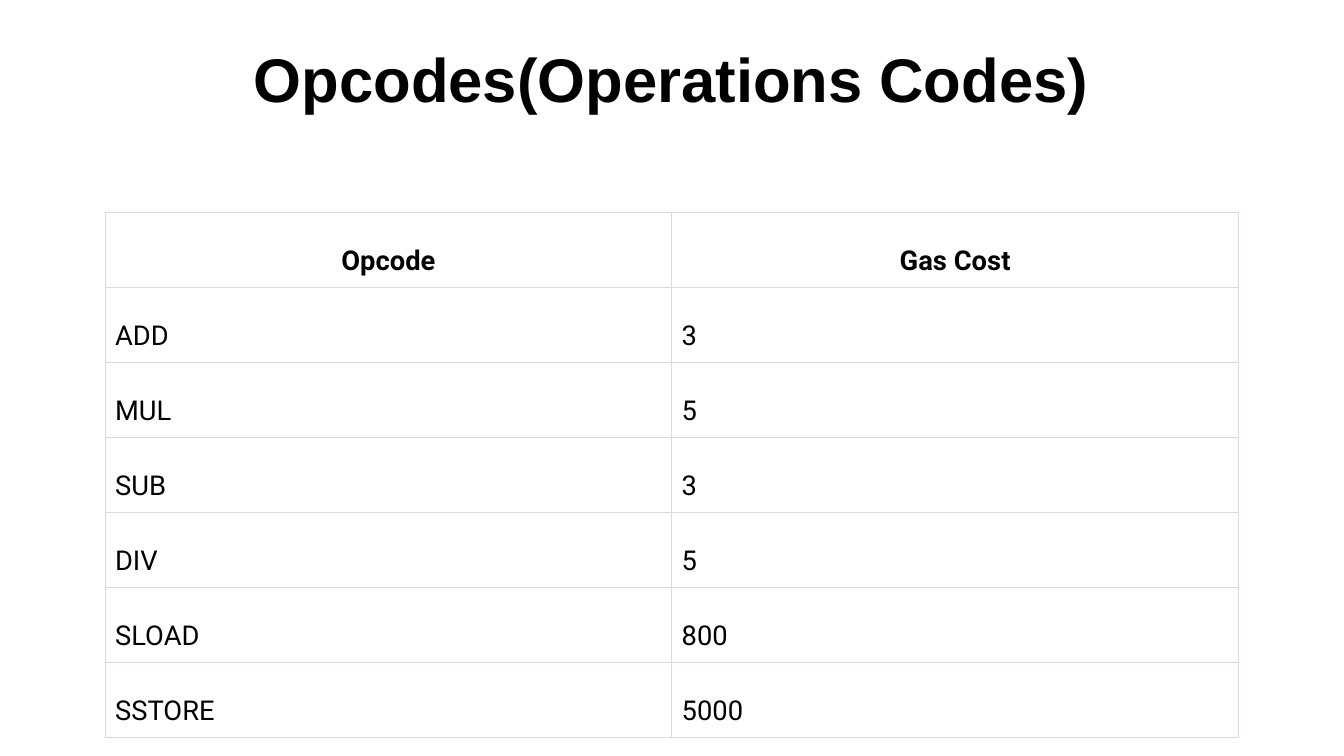
from lxml import etree
from pptx import Presentation
from pptx import util as u
from pptx.dml.color import RGBColor
from pptx.enum import text
from pptx.oxml.ns import qn

BLACK = RGBColor(0x00, 0x00, 0x00)
BORDER = RGBColor(0xD9, 0xD9, 0xE3)

HEADERS = ("Opcode", "Gas Cost")
GAS_COSTS = (
    ("ADD", "3"),
    ("MUL", "5"),
    ("SUB", "3"),
    ("DIV", "5"),
    ("SLOAD", "800"),
    ("SSTORE", "5000"),
)


def write_text(frame, content, *, font, size, bold=False,
               align=text.PP_ALIGN.LEFT, spacing=1.0, color=BLACK):
    paragraph = frame.paragraphs[0]
    paragraph.alignment = align
    paragraph.line_spacing = spacing
    run = paragraph.add_run()
    run.text = content
    run.font.name = font
    run.font.size = u.Pt(size)
    run.font.bold = bold
    run.font.color.rgb = color


class OpcodeSlide:
    title_font = "Arial"
    table_font = "Roboto"
    cell_margin = u.Cm(0.25)
    border_width = u.Pt(0.75)

    def __init__(self, presentation):
        self.slide = presentation.slides.add_slide(presentation.slide_layouts[5])

    def add_title(self, content, left, top, width, height):
        title = self.slide.shapes.title
        title.left, title.top = u.Cm(left), u.Cm(top)
        title.width, title.height = u.Cm(width), u.Cm(height)
        frame = title.text_frame
        frame.auto_size = text.MSO_AUTO_SIZE.NONE
        frame.vertical_anchor = text.MSO_ANCHOR.MIDDLE
        write_text(frame, content, font=self.title_font, size=44, bold=True,
                   align=text.PP_ALIGN.CENTER)

    def add_table(self, rows, left, top, column_width, row_height):
        columns = len(rows[0])
        table = self.slide.shapes.add_table(
            len(rows), columns, u.Cm(left), u.Cm(top),
            u.Cm(column_width * columns), u.Cm(row_height * len(rows))).table
        table.first_row = table.horz_banding = False
        for row_index, row in enumerate(rows):
            for column_index, content in enumerate(row):
                cell = table.cell(row_index, column_index)
                self.format_cell(cell, content, header=row_index == 0)

    def format_cell(self, cell, content, header):
        self.add_borders(cell)
        cell.fill.background()
        cell.margin_left = cell.margin_right = self.cell_margin
        cell.margin_top = cell.margin_bottom = self.cell_margin
        cell.vertical_anchor = (
            text.MSO_ANCHOR.BOTTOM if header else text.MSO_ANCHOR.MIDDLE)
        align = text.PP_ALIGN.CENTER if header else text.PP_ALIGN.LEFT
        write_text(cell.text_frame, content, font=self.table_font, size=19.5,
                   bold=header, align=align, spacing=1.71)

    def add_borders(self, cell):
        properties = cell._tc.get_or_add_tcPr()
        for side in ("a:lnL", "a:lnR", "a:lnT", "a:lnB"):
            line = etree.SubElement(properties, qn(side), w=str(self.border_width))
            fill = etree.SubElement(line, qn("a:solidFill"))
            etree.SubElement(fill, qn("a:srgbClr"), val=str(BORDER))


def main():
    presentation = Presentation()
    presentation.slide_width = u.Cm(33.87)
    presentation.slide_height = u.Cm(19.05)
    opcodes = OpcodeSlide(presentation)
    opcodes.add_title("Opcodes(Operations Codes)", 2.54, 0.86, 28.78, 2.18)
    opcodes.add_table((HEADERS, *GAS_COSTS), left=2.65, top=5.35,
                      column_width=14.28, row_height=1.89)
    presentation.save("out.pptx")


if __name__ == "__main__":
    main()
